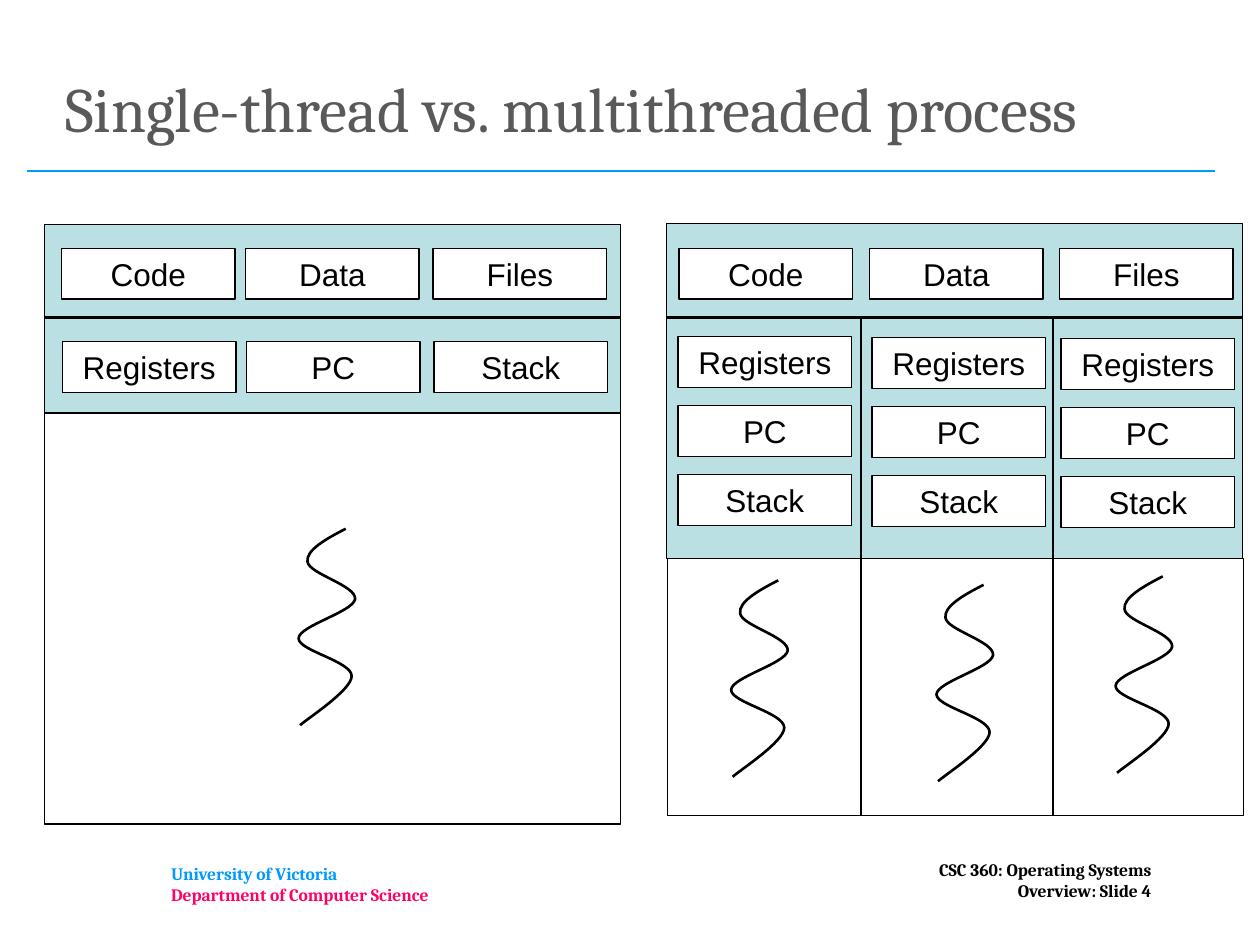
"""Build the slide comparing a single-thread and a multithreaded process."""
from pptx import Presentation
from pptx.dml.color import RGBColor
from pptx.enum.shapes import MSO_CONNECTOR, MSO_SHAPE
from pptx.enum.text import MSO_ANCHOR as ANC, PP_ALIGN as AL
from pptx.oxml.ns import qn
from pptx.util import Cm, Pt
from lxml.etree import SubElement

BLACK = RGBColor(0x00, 0x00, 0x00)
WHITE = RGBColor(0xFF, 0xFF, 0xFF)
GRAY = RGBColor(0x59, 0x59, 0x59)
TEAL = RGBColor(0xBB, 0xE0, 0xE3)
BLUE = RGBColor(0x00, 0x99, 0xFF)
PINK = RGBColor(0xFF, 0x00, 0x66)

TITLE = "Single-thread vs. multithreaded process"
SCHOOL = [("University of Victoria", BLUE), ("Department of Computer Science", PINK)]
COURSE = [("CSC 360: Operating Systems", BLACK), ("Overview: Slide 4", BLACK)]
SHARED = ["Code", "Data", "Files"]
OWN = ["Registers", "PC", "Stack"]

SINGLE = {
    "panels": [(0.9, 4.52, 11.61, 3.81, TEAL), (0.9, 8.33, 11.61, 8.28, WHITE)],
    "dividers": [(0.9, 6.4, 12.51, 6.4), (0.9, 8.33, 12.51, 8.33)],
    "threads": [(6.02, 10.66)],
}
MULTI = {
    "panels": [(13.44, 4.51, 11.61, 6.75, TEAL), (13.46, 11.26, 11.61, 5.18, WHITE)],
    "dividers": [
        (13.44, 6.4, 25.05, 6.4),
        (17.36, 6.4, 17.36, 16.43),
        (21.23, 6.4, 21.23, 16.43),
    ],
    "threads": [(14.74, 11.7), (18.88, 11.79), (22.49, 11.62)],
}
SINGLE_X = [1.24, 4.95, 8.73]
MULTI_SHARED_X = [13.69, 17.53, 21.36]
MULTI_OWN_X = [13.67, 17.58, 21.39]
SHARED_Y, SINGLE_OWN_Y, MULTI_OWN_Y, OWN_STEP = 5.01, 6.89, 6.79, 1.39
BOX_W, BOX_H = 3.5, 1.02

WAVE = [
    (0.95, 0),
    (0.56, 0.2), (0.15, 0.43), (0.18, 0.66),
    (0.2, 0.91), (1.17, 1.14), (1.14, 1.42),
    (1.09, 1.68), (0, 1.96), (0, 2.21),
    (0, 2.46), (1.07, 2.67), (1.07, 2.97),
    (1.07, 3.25), (0.2, 3.81), (0.03, 3.96),
]


def write(sp, lines, size=18, font="Arial", bold=False, align=AL.CENTER, anchor=ANC.MIDDLE):
    tf = sp.text_frame
    tf.word_wrap = True
    tf.vertical_anchor = anchor
    p = tf.paragraphs[0]
    p.alignment = align
    for i, (text, color) in enumerate(lines):
        if i:
            p.add_line_break()
        r = p.add_run()
        r.text = text
        r.font.size, r.font.name, r.font.bold = Pt(size), font, bold
        r.font.color.rgb = color


def add_text(shapes, x, y, w, h, lines, **fmt):
    write(shapes.add_textbox(Cm(x), Cm(y), Cm(w), Cm(h)), lines, **fmt)


def add_rect(shapes, x, y, w, h, fill, line=BLACK):
    sp = shapes.add_shape(MSO_SHAPE.RECTANGLE, Cm(x), Cm(y), Cm(w), Cm(h))
    sp.shadow.inherit = False
    sp.fill.solid()
    sp.fill.fore_color.rgb = fill
    sp.line.color.rgb = line
    sp.line.width = Pt(0.75)
    return sp


def add_box(shapes, x, y, text):
    write(add_rect(shapes, x, y, BOX_W, BOX_H, WHITE), [(text, BLACK)])


def add_line(shapes, x1, y1, x2, y2, color=BLACK):
    ln = shapes.add_connector(MSO_CONNECTOR.STRAIGHT, Cm(x1), Cm(y1), Cm(x2), Cm(y2))
    ln.line.color.rgb = color
    ln.line.width = Pt(1.25)
    SubElement(ln._element.spPr, qn("a:effectLst"))


def curve(sp):
    outline = next(sp._element.iter(qn("a:path")))
    segments = outline.findall(qn("a:lnTo"))
    for i in range(0, len(segments), 3):
        bez = SubElement(outline, qn("a:cubicBezTo"))
        for seg in segments[i:i + 3]:
            bez.append(seg[0])
            outline.remove(seg)


def add_thread(shapes, x, y):
    start, *rest = [(Cm(x + px), Cm(y + py)) for px, py in WAVE]
    fb = shapes.build_freeform(*start)
    fb.add_line_segments(rest, close=False)
    sp = fb.convert_to_shape()
    curve(sp)
    sp.shadow.inherit = False
    sp.fill.background()
    sp.line.color.rgb = BLACK
    sp.line.width = Pt(1.5)


def add_process(s, panels, dividers, threads, boxes):
    shapes = s.shapes.add_group_shape().shapes
    for panel in panels:
        add_rect(shapes, *panel)
    for box in boxes:
        add_box(shapes, *box)
    for divider in dividers:
        add_line(shapes, *divider)
    for thread in threads:
        add_thread(shapes, *thread)


def main():
    prs = Presentation()
    prs.slide_width, prs.slide_height = Cm(25.4), Cm(19.05)
    s = prs.slides.add_slide(prs.slide_layouts[6])

    footer = dict(size=10, font="Cambria", bold=True, anchor=ANC.TOP)
    add_rect(s.shapes, 2.34, 16.94, 20.52, 1.47, WHITE, WHITE)
    add_text(s.shapes, 3.2, 17.27, 7.42, 1.12, SCHOOL, align=AL.LEFT, **footer)
    add_text(s.shapes, 13.48, 17.2, 9.98, 1.12, COURSE, align=AL.RIGHT, **footer)
    add_line(s.shapes, 0.54, 3.45, 24.5, 3.45, BLUE)
    add_text(s.shapes, 1.07, 1.04, 22.86, 2.24, [(TITLE, GRAY)],
             size=36, font="Cambria", align=AL.LEFT)

    single = [(x, SHARED_Y, text) for x, text in zip(SINGLE_X, SHARED)]
    single += [(x + 0.02, SINGLE_OWN_Y, text) for x, text in zip(SINGLE_X, OWN)]
    multi = [(x, SHARED_Y, text) for x, text in zip(MULTI_SHARED_X, SHARED)]
    multi += [(x, MULTI_OWN_Y + row * OWN_STEP + col * 0.02, text)
              for col, x in enumerate(MULTI_OWN_X) for row, text in enumerate(OWN)]
    add_process(s, boxes=single, **SINGLE)
    add_process(s, boxes=multi, **MULTI)

    prs.save("out.pptx")


if __name__ == "__main__":
    main()
